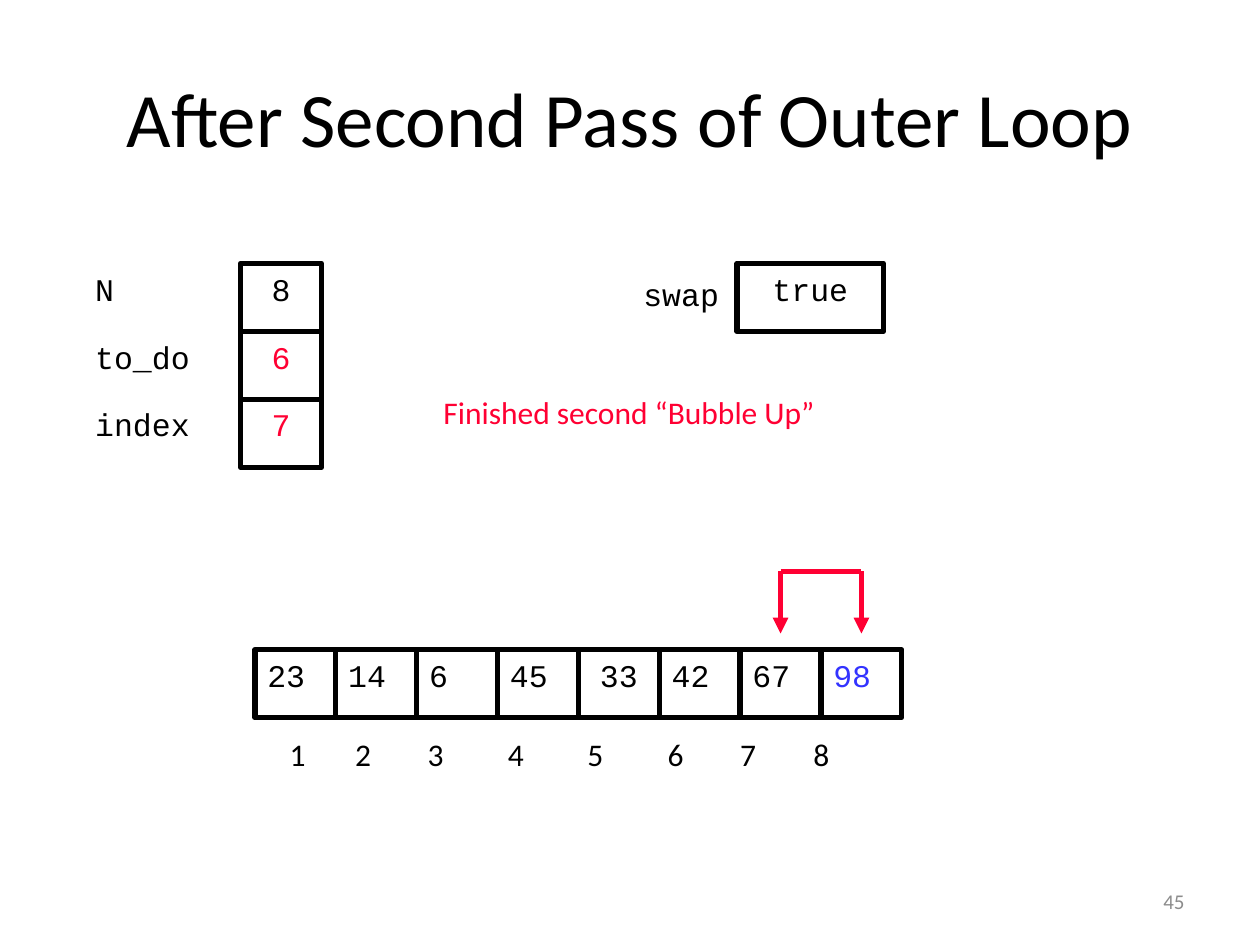
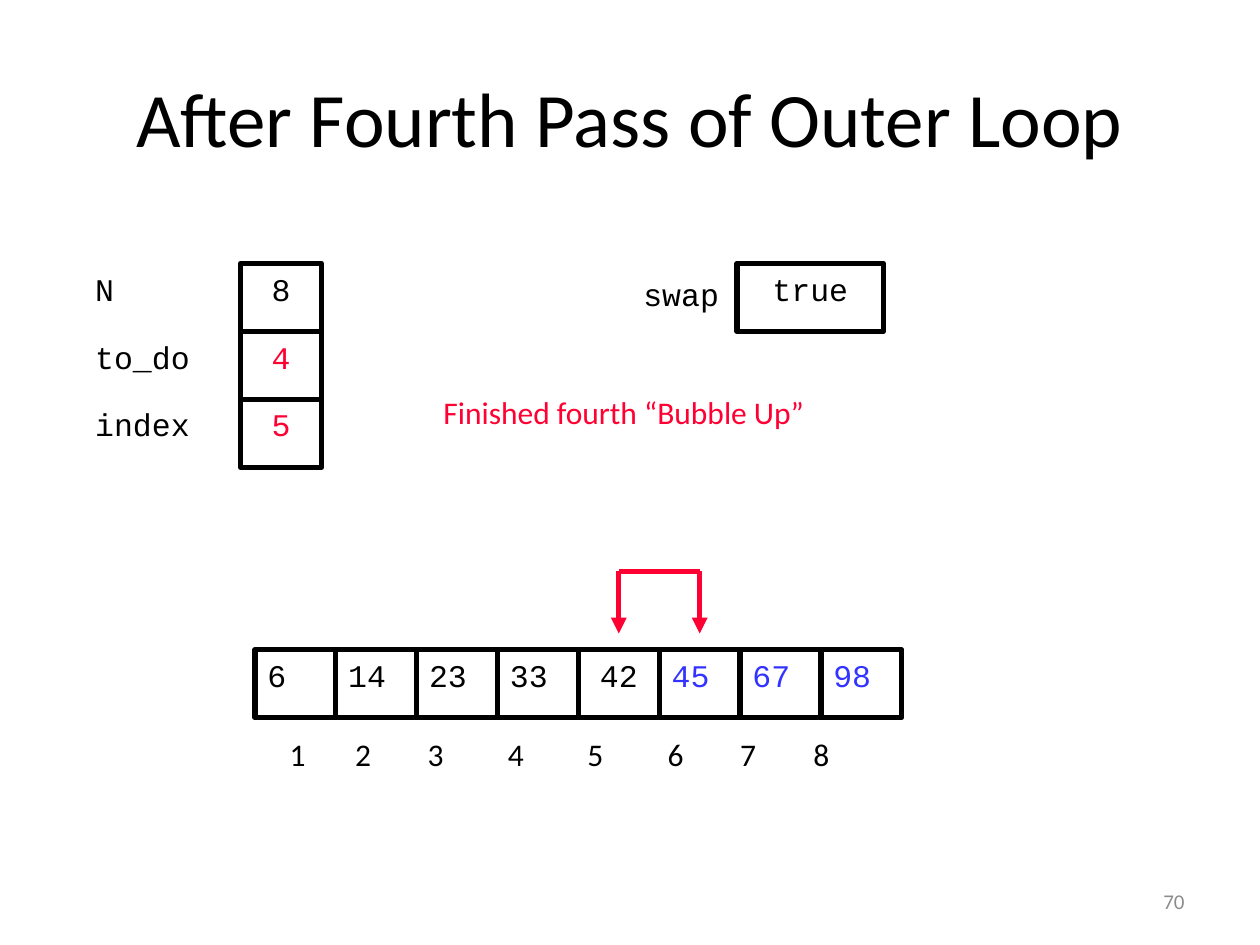
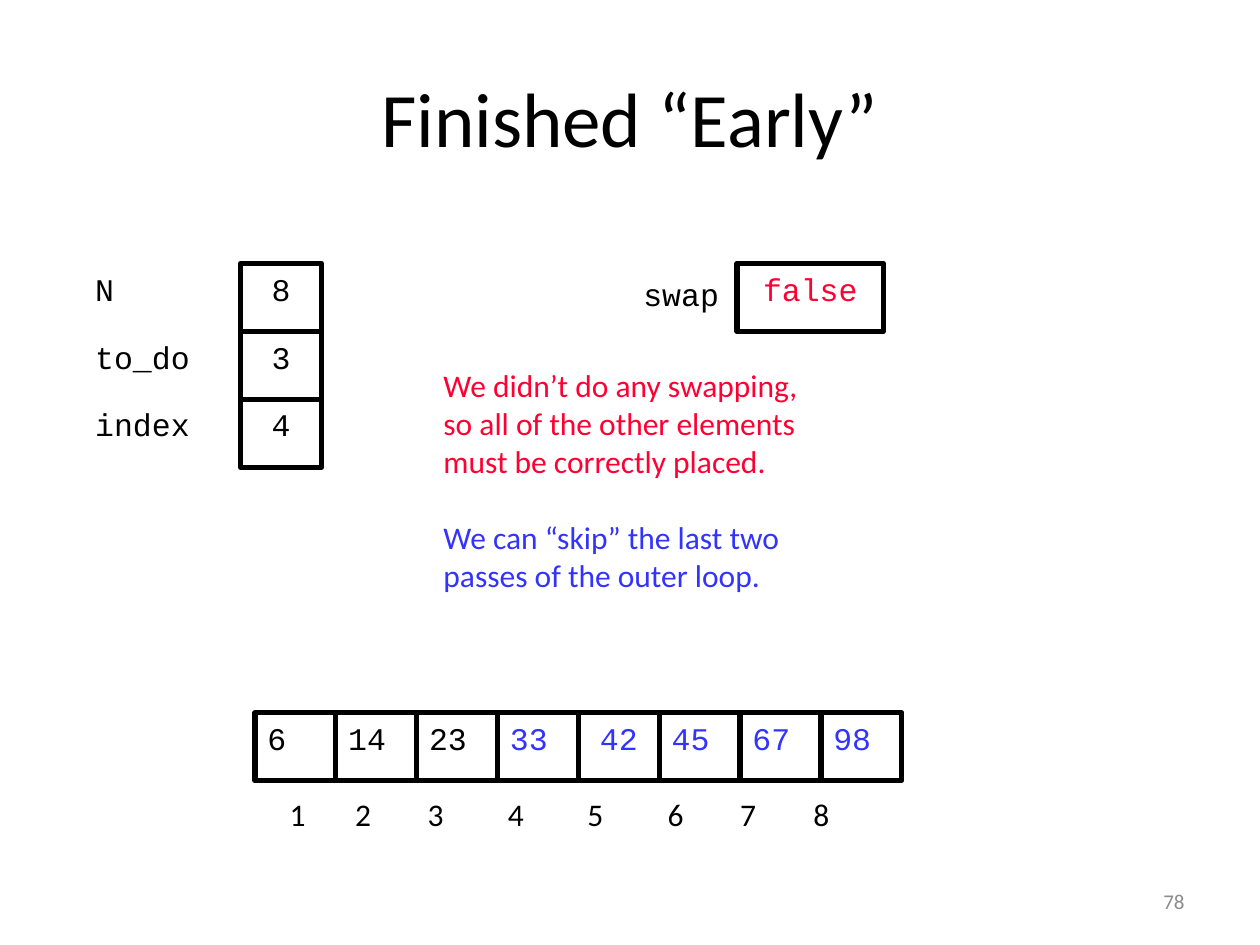
from lxml import etree
from pptx import Presentation
from pptx.dml.color import RGBColor
from pptx.enum import shapes, text
from pptx.oxml import ns
from pptx.util import Cm, Pt

BLACK = RGBColor(0x00, 0x00, 0x00)
RED = RGBColor(0xFF, 0x00, 0x33)
BLUE = RGBColor(0x33, 0x33, 0xFF)
GREY = RGBColor(0x8C, 0x8C, 0x8C)
BODY, CODE = "Calibri", "Courier New"
LEFT, CENTER, RIGHT = text.PP_ALIGN.LEFT, text.PP_ALIGN.CENTER, text.PP_ALIGN.RIGHT
TOP, MIDDLE = text.MSO_ANCHOR.TOP, text.MSO_ANCHOR.MIDDLE

LINE_WIDTH = Pt(3)
CELL_WIDTH, CELL_HEIGHT = Cm(1.63), Cm(1.37)
INDEX_TABS = [Cm(stop) for stop in (1.32, 2.78, 4.4, 6, 7.62, 9.08, 10.56)]


def write(frame, paragraphs, font=BODY, size=18, align=LEFT, anchor=TOP):
    frame.word_wrap = True
    frame.vertical_anchor = anchor
    for number, (words, color) in enumerate(paragraphs):
        paragraph = frame.add_paragraph() if number else frame.paragraphs[0]
        paragraph.text = words
        paragraph.alignment = align
        paragraph.font.name = font
        paragraph.font.size = Pt(size)
        paragraph.font.color.rgb = color
        if number:
            paragraph.space_before = Pt(22)


def label(slide, box, words, color=BLACK, **style):
    caption = slide.shapes.add_textbox(*box)
    write(caption.text_frame, [(words, color)], **style)
    return caption


def cell(slide, box, value, color=BLACK, align=CENTER):
    square = slide.shapes.add_shape(shapes.MSO_SHAPE.RECTANGLE, *box)
    square.shadow.inherit = False
    square.fill.background()
    square.line.color.rgb = BLACK
    square.line.width = LINE_WIDTH
    write(square.text_frame, [(value, color)], font=CODE, align=align)


def stroke(slide, start, end, arrow=False):
    line = slide.shapes.add_connector(shapes.MSO_CONNECTOR.STRAIGHT, *start, *end)
    line.line.color.rgb = RED
    line.line.width = LINE_WIDTH
    if arrow:
        head = etree.SubElement(line.line._get_or_add_ln(), ns.qn("a:headEnd"))
        head.set("type", "triangle")
    etree.SubElement(line._element.spPr, ns.qn("a:effectLst"))


def variables(slide, left, top, to_do, index, color):
    rows = [("N", "8", BLACK), ("to_do", to_do, color), ("index", index, color)]
    for row, (name, value, value_color) in enumerate(rows):
        y = top + row * CELL_HEIGHT
        label(slide, (left, y, Cm(3.05), Cm(1.27)), name, font=CODE)
        cell(slide, (left + Cm(3.18), y, CELL_WIDTH, CELL_HEIGHT), value, value_color)


def swap_flag(slide, left, top, value, color):
    label(slide, (left, top + Cm(0.1), Cm(2.1), Cm(1.02)), "swap", font=CODE)
    cell(slide, (left + Cm(2.14), top, Cm(2.95), CELL_HEIGHT), value, color)


def array(slide, left, top, values, placed, index_gap):
    for column, value in enumerate(values):
        cell(slide, (left + column * CELL_WIDTH, top, CELL_WIDTH, CELL_HEIGHT),
             str(value), BLUE if column >= len(values) - placed else BLACK,
             CENTER if column == 4 else LEFT)
    positions = "\t".join(str(number + 1) for number in range(len(values)))
    indices = label(slide, (left + Cm(0.45), top + index_gap, Cm(12.24), Cm(1.02)), positions)
    properties = indices.text_frame.paragraphs[0]._p.get_or_add_pPr()
    stops = etree.Element(ns.qn("a:tabLst"))
    for position in INDEX_TABS:
        etree.SubElement(stops, ns.qn("a:tab"), pos=str(position), algn="l")
    properties.insert_element_before(stops, "a:defRPr", "a:extLst")


def swap_bracket(slide, left, top, first):
    bottom = top - Cm(0.33)
    bar = bottom - Cm(1.25)
    ends = [left + int((column + 0.5) * CELL_WIDTH) for column in (first, first + 1)]
    for x in ends:
        stroke(slide, (x, bottom), (x, bar), arrow=True)
    stroke(slide, (ends[0], bar), (ends[1], bar))


def base_slide(deck, heading, number):
    slide = deck.slides.add_slide(deck.slide_layouts[6])
    label(slide, (Cm(1.27), Cm(0.76), Cm(22.86), Cm(3.18)), heading,
          size=44, align=CENTER, anchor=MIDDLE)
    label(slide, (Cm(18.21), Cm(17.65), Cm(5.92), Cm(1.02)), number, GREY,
          size=12, align=RIGHT, anchor=MIDDLE)
    return slide


def state(slide, to_do, index, values, placed, swap, color, array_top, index_gap):
    variables(slide, Cm(1.67), Cm(5.31), to_do, index, color)
    swap_flag(slide, Cm(12.72), Cm(5.31), swap, RED if swap == "false" else BLACK)
    array(slide, Cm(5.14), array_top, values, placed, index_gap)


def message(slide, left, top, height, paragraphs):
    note = slide.shapes.add_textbox(left, top, Cm(12), height)
    write(note.text_frame, paragraphs)


def pass_slide(deck, ordinal, number, to_do, index, values, placed):
    slide = base_slide(deck, f"After {ordinal} Pass of Outer Loop", number)
    array_top = Cm(13.1)
    state(slide, str(to_do), str(index), values, placed, "true", RED, array_top, Cm(1.6))
    swap_bracket(slide, Cm(5.14), array_top, to_do)
    message(slide, Cm(8.69), Cm(7.8), Cm(1.27),
            [(f"Finished {ordinal.lower()} “Bubble Up”", RED)])


def early_slide(deck):
    slide = base_slide(deck, "Finished “Early”", "78")
    state(slide, "3", "4", [6, 14, 23, 33, 42, 45, 67, 98], 5, "false", BLACK,
          Cm(14.37), Cm(1.53))
    message(slide, Cm(8.69), Cm(7.26), Cm(6.35), [
        ("We didn’t do any swapping,\vso all of the other elements\v"
         "must be correctly placed.", RED),
        ("We can “skip” the last two\vpasses of the outer loop.", BLUE),
    ])


deck = Presentation()
deck.slide_width, deck.slide_height = Cm(25.4), Cm(19.05)
pass_slide(deck, "Second", "45", 6, 7, [23, 14, 6, 45, 33, 42, 67, 98], 1)
pass_slide(deck, "Fourth", "70", 4, 5, [6, 14, 23, 33, 42, 45, 67, 98], 3)
early_slide(deck)
deck.save("out.pptx")
